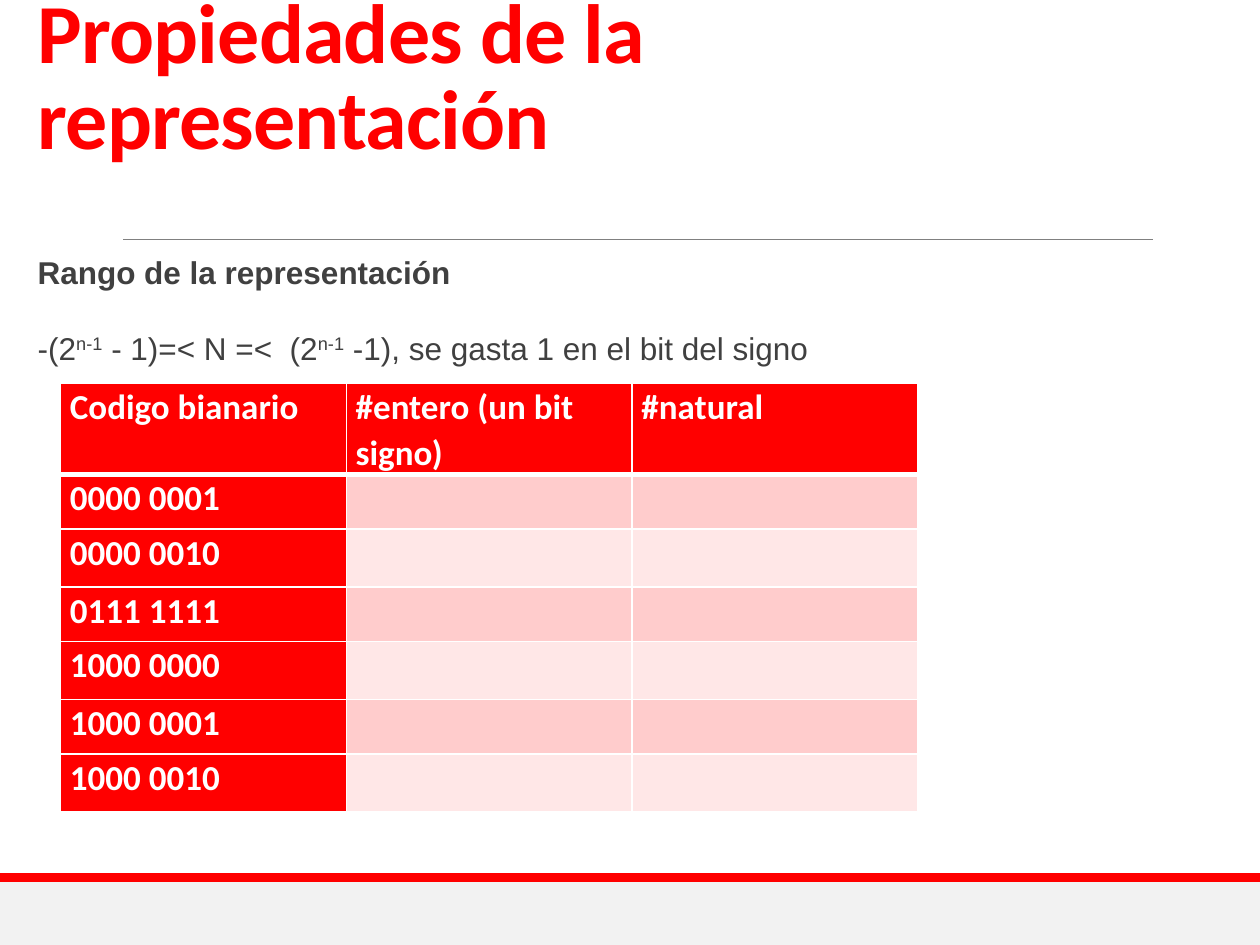
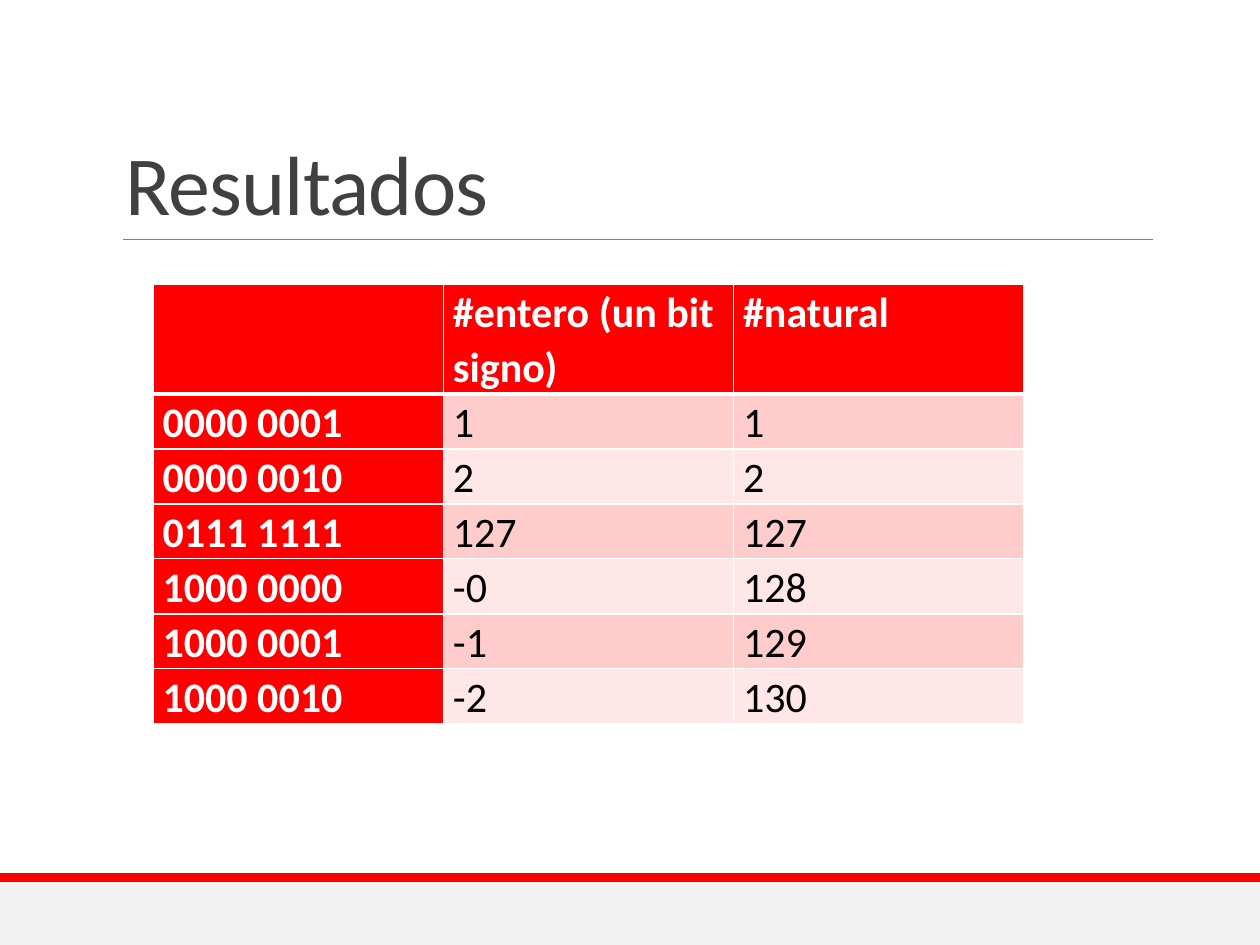
from dataclasses import dataclass

from lxml.etree import SubElement
from pptx import Presentation
from pptx.dml.color import RGBColor
from pptx.enum.shapes import MSO_CONNECTOR as Connector, MSO_SHAPE as Shape
from pptx.enum.text import MSO_ANCHOR as Anchor, MSO_AUTO_SIZE as AutoSize, PP_ALIGN as Align
from pptx.oxml.ns import qn
from pptx.slide import Slide
from pptx.table import _Cell as Cell
from pptx.text.text import _Paragraph as Paragraph
from pptx.util import Cm, Pt

COLORS = {
    "red": "FF0000",
    "white": "FFFFFF",
    "black": "000000",
    "ink": "404040",
    "rule": "808080",
    "footer": "F2F2F2",
    "odd_row": "FFCCCC",
    "even_row": "FFE7E7",
}
CODES = ["0000 0001", "0000 0010", "0111 1111", "1000 0000", "1000 0001", "1000 0010"]
INTEGERS = ["1", "2", "127", "-0", "-1", "-2"]
NATURALS = ["1", "2", "127", "128", "129", "130"]
BLANKS = [""] * len(CODES)


@dataclass
class Box:
    left: float
    top: float
    width: float
    height: float

    def lengths(self) -> tuple[Cm, Cm, Cm, Cm]:
        return Cm(self.left), Cm(self.top), Cm(self.width), Cm(self.height)


@dataclass
class Style:
    size: float
    color: str
    bold: bool = False
    font: str = "Calibri"
    spacing: int = 0
    raised: bool = False


@dataclass
class Band:
    box: Box
    color: str


@dataclass
class CodeTable:
    left: float
    top: float
    column: float
    header: float
    odd_row: float
    even_row: float
    size: float
    rows: list[tuple[str, ...]]


BANDS = [
    Band(Box(0, 17.78, 25.4, 1.27), "footer"),
    Band(Box(0, 17.6, 25.4, 0.18), "red"),
]


def rgb(name: str) -> RGBColor:
    return RGBColor.from_string(COLORS[name])


def add_run(paragraph: Paragraph, text: str, style: Style) -> None:
    run = paragraph.add_run()
    run.text = text
    run.font.name = style.font
    run.font.size = Pt(style.size)
    run.font.bold = style.bold
    run.font.color.rgb = rgb(style.color)
    properties = run._r.get_or_add_rPr()
    if style.spacing:
        properties.set("spc", str(style.spacing))
    if style.raised:
        properties.set("baseline", "30000")


def set_title(slide: Slide, text: str, box: Box, style: Style) -> None:
    title = slide.shapes.title
    title.left, title.top, title.width, title.height = box.lengths()
    frame = title.text_frame
    frame.auto_size = AutoSize.NONE
    frame.word_wrap = True
    frame.vertical_anchor = Anchor.BOTTOM
    heading = frame.paragraphs[0]
    heading.alignment = Align.LEFT
    heading.line_spacing = 0.85
    add_run(heading, text, style)


def start_slide(prs: Presentation, title: str, box: Box, style: Style) -> Slide:
    slide = prs.slides.add_slide(prs.slide_layouts[5])
    for band in BANDS:
        strip = slide.shapes.add_shape(Shape.RECTANGLE, *band.box.lengths())
        strip.shadow.inherit = False
        strip.fill.solid()
        strip.fill.fore_color.rgb = rgb(band.color)
        strip.line.fill.background()
    rule = slide.shapes.add_connector(
        Connector.STRAIGHT, Cm(2.48), Cm(4.83), Cm(23.24), Cm(4.83)
    )
    rule.line.color.rgb = rgb("rule")
    rule.line.width = Pt(0.5)
    SubElement(rule._element.spPr, qn("a:effectLst"))
    set_title(slide, title, box, style)
    return slide


def set_borders(cell: Cell, top: float, bottom: float) -> None:
    properties = cell._tc.get_or_add_tcPr()
    for side, width in (("L", 1), ("R", 1), ("T", top), ("B", bottom)):
        border = SubElement(properties, qn(f"a:ln{side}"), w=str(Pt(width)))
        fill = SubElement(border, qn("a:solidFill"))
        SubElement(fill, qn("a:srgbClr"), val=COLORS["white"])


def add_code_table(slide: Slide, codes: CodeTable) -> None:
    rows, columns = len(codes.rows), len(codes.rows[0])
    heights = [codes.header] + [
        codes.odd_row if row % 2 else codes.even_row for row in range(1, rows)
    ]
    box = Box(codes.left, codes.top, codes.column * columns, sum(heights))
    table = slide.shapes.add_table(rows, columns, *box.lengths()).table
    table.first_col = True
    for column in table.columns:
        column.width = Cm(codes.column)
    for row, texts in enumerate(codes.rows):
        table.rows[row].height = Cm(heights[row])
        for column, text in enumerate(texts):
            cell = table.cell(row, column)
            heading = row == 0 or column == 0
            cell.margin_left = cell.margin_right = Cm(0.19)
            cell.margin_top = cell.margin_bottom = 0
            set_borders(cell, 3 if row == 1 else 1, 3 if row == 0 else 1)
            cell.fill.solid()
            stripe = "odd_row" if row % 2 else "even_row"
            cell.fill.fore_color.rgb = rgb("red" if heading else stripe)
            if text:
                entry = cell.text_frame.paragraphs[0]
                entry.line_spacing = 1.07
                entry.space_after = Pt(8)
                color = "white" if heading else "black"
                add_run(entry, text, Style(codes.size, color, heading))


def add_range(slide: Slide) -> None:
    plain = Style(18, "ink", font="Arial")
    bold = Style(18, "ink", True, "Arial")
    power = Style(18, "ink", font="Arial", raised=True)
    lines = [
        [("Rango de la representación", bold)],
        [
            ("-(2", plain),
            ("n-1", power),
            (" - 1)=< N =<  (2", plain),
            ("n-1", power),
            (" -1), se gasta 1 en el bit del signo", plain),
        ],
    ]
    frame = slide.shapes.add_textbox(*Box(0.51, 4.93, 22.73, 2.7).lengths()).text_frame
    frame.word_wrap = True
    frame.margin_right = 0
    for index, runs in enumerate(lines):
        line = frame.add_paragraph() if index else frame.paragraphs[0]
        line.line_spacing = 1.07
        line.space_after = Pt(8)
        if index:
            line.space_before = Pt(12)
        for text, style in runs:
            add_run(line, text, style)


def code_rows(corner: str, integers: list[str], naturals: list[str]) -> list[tuple[str, ...]]:
    return [(corner, "#entero (un bit signo)", "#natural"), *zip(CODES, integers, naturals)]


def main() -> None:
    prs = Presentation()
    prs.slide_width, prs.slide_height = Cm(25.4), Cm(19.05)

    properties = start_slide(
        prs, "Propiedades de la representación",
        Box(0.51, 0.91, 22.73, 2.57), Style(48, "red", True, spacing=-50),
    )
    add_range(properties)
    exercise = code_rows("Codigo bianario", BLANKS, BLANKS)
    add_code_table(properties, CodeTable(1.22, 7.72, 5.76, 1.84, 1.1, 1.17, 20, exercise))

    results = start_slide(
        prs, "Resultados",
        Box(2.28, 0.78, 20.96, 4.04), Style(48, "ink", spacing=-50),
    )
    answers = code_rows("", INTEGERS, NATURALS)
    add_code_table(results, CodeTable(3.09, 5.73, 5.85, 2.18, 1.1, 1.11, 24, answers))

    prs.save("out.pptx")


if __name__ == "__main__":
    main()
